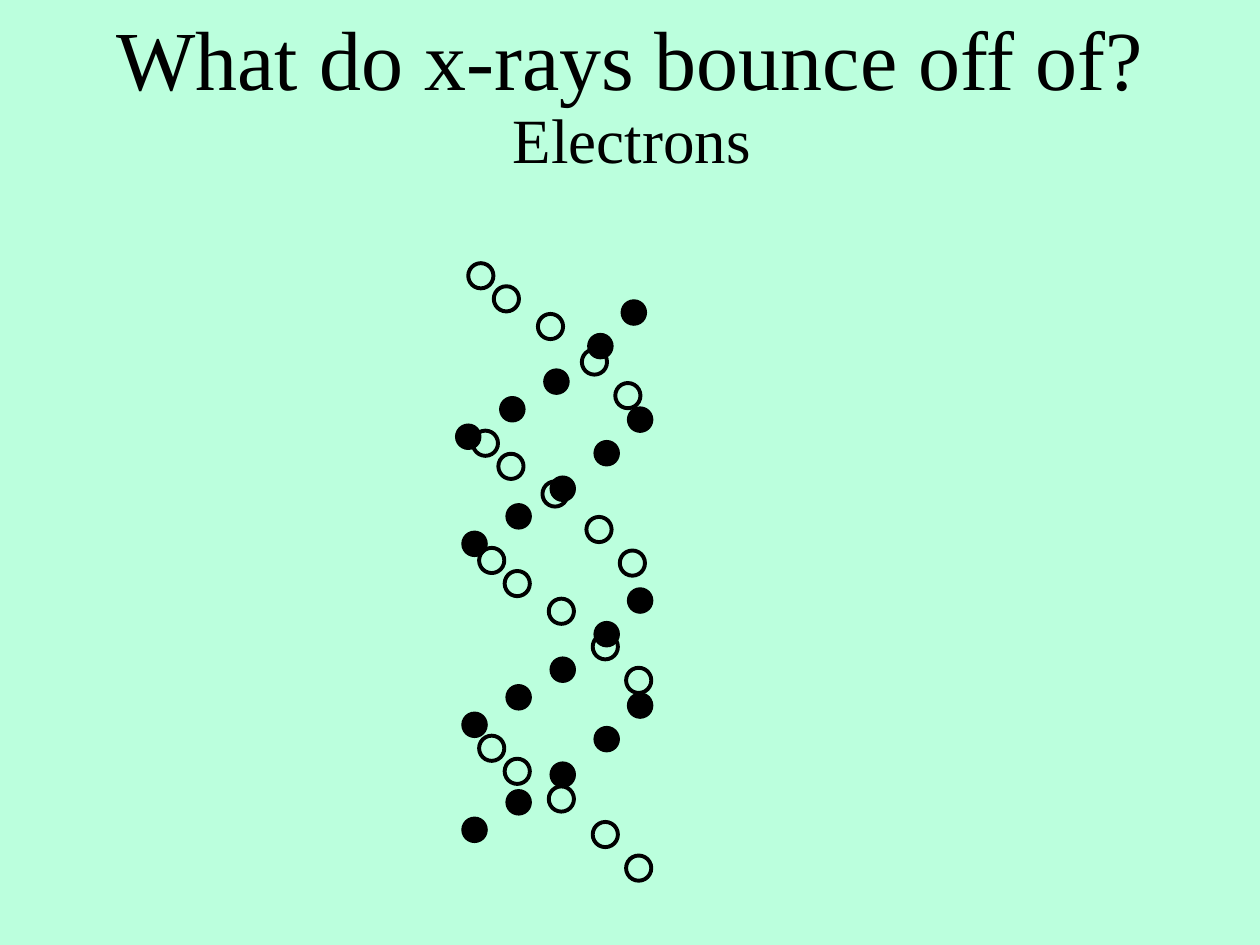
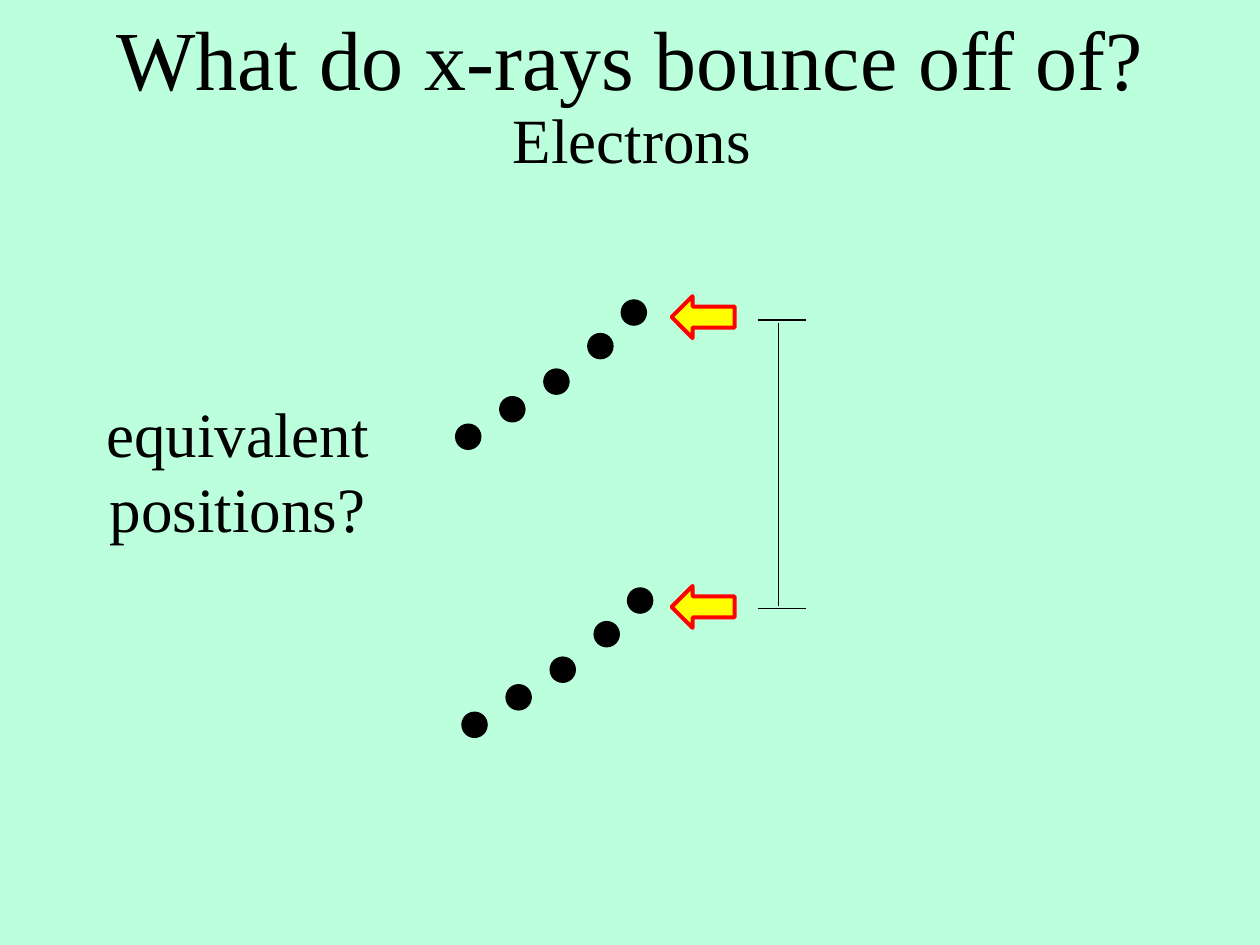
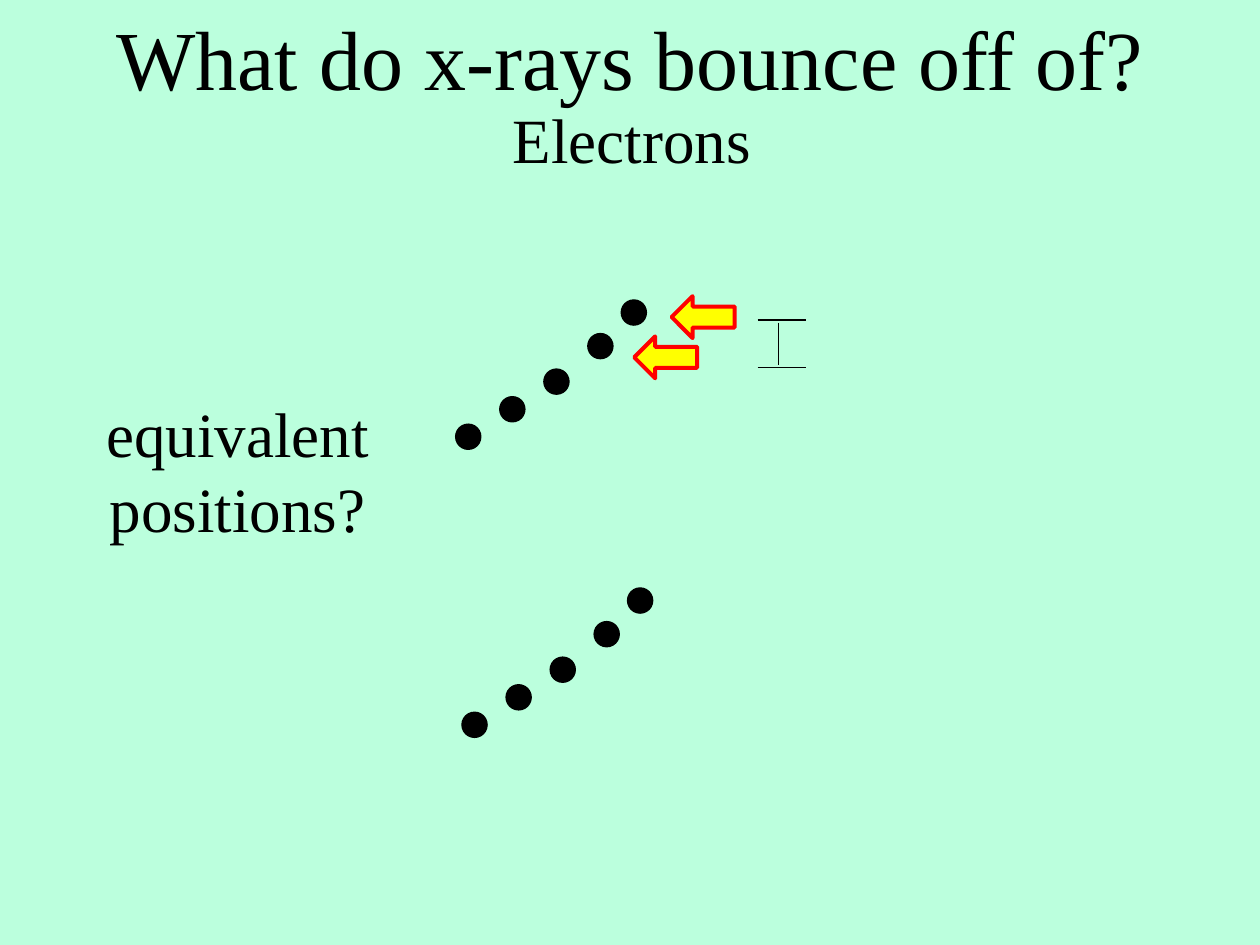
from pptx import Presentation
from pptx.dml.color import RGBColor
from pptx.enum.shapes import MSO_CONNECTOR, MSO_SHAPE
from pptx.enum.text import MSO_ANCHOR, MSO_AUTO_SIZE, PP_ALIGN
from pptx.oxml.ns import qn
from pptx.util import Pt

OVAL = MSO_SHAPE.OVAL
ARROW = MSO_SHAPE.LEFT_ARROW
LINE = MSO_CONNECTOR.STRAIGHT
TOP = MSO_ANCHOR.TOP
FIXED = MSO_AUTO_SIZE.NONE
CENTER = PP_ALIGN.CENTER

FONT = "Times New Roman"
BLACK, MINT, YELLOW, RED = "000000", "BBFFDD", "FFFF00", "FF0000"
TITLE_ONLY = 5

DOT = 14.4
# Distance of each dot from the first dot of its strand
STEPS = [(0, 0), (19.1, 19.2), (44.2, 39.5), (69.4, 55.3)]
SOLID_END, OPEN_END = (94.6, 71), (84, 68.5)

# First dot of each strand: solid ones run down, open ones run up
SOLID = [(355, 171.4), (358.6, 232.6), (358.6, 336), (358.6, 396)]
OPEN = [(357.8, 381.6), (354.2, 314.6), (351.6, 218.9), (357.8, 488.9)]


def color(code):
    return RGBColor.from_string(code)


def write(shape, text, size=36, tint=BLACK, align=CENTER):
    frame = shape.text_frame
    frame.word_wrap = True
    frame.auto_size = FIXED
    frame.vertical_anchor = TOP
    frame.text = text
    para = frame.paragraphs[0]
    para.alignment = align
    font = para.runs[0].font
    font.name, font.size = FONT, Pt(size)
    font.color.rgb = color(tint)


class Deck:
    def __init__(self):
        self.file = Presentation()
        self.file.slide_width, self.file.slide_height = Pt(720), Pt(540)
        fill = self.file.slide_master.background.fill
        fill.solid()
        fill.fore_color.rgb = color(MINT)

    def page(self):
        """Start a slide with the shared heading."""
        layout = self.file.slide_layouts[TITLE_ONLY]
        self.slide = self.file.slides.add_slide(layout)
        title = self.slide.shapes.title
        title.left, title.top = Pt(0), Pt(0)
        title.width, title.height = Pt(720), Pt(65.5)
        write(title, "What do x-rays bounce off of?", size=48)
        self.text("Electrons", 174.2, 54, 373.7, 51)

    def text(self, words, left, top, width, height):
        box = self.slide.shapes.add_textbox(
            Pt(left), Pt(top), Pt(width), Pt(height))
        write(box, words)

    def shape(self, kind, left, top, width, height, fill, edge, weight):
        item = self.slide.shapes.add_shape(
            kind, Pt(left), Pt(top), Pt(width), Pt(height))
        item.shadow.inherit = False
        if fill:
            item.fill.solid()
            item.fill.fore_color.rgb = color(fill)
        else:
            item.fill.background()
        item.line.color.rgb = color(edge)
        item.line.width = Pt(weight)

    def strand(self, left, top, solid=True):
        """Draw five dots leftward, down if solid and up if open."""
        end, turn = (SOLID_END, 1) if solid else (OPEN_END, -1)
        fill, weight = (BLACK, 0.75) if solid else (None, 2.25)
        for across, down in STEPS + [end]:
            self.shape(OVAL, left - across, top + turn * down, DOT, DOT,
                       fill, BLACK, weight)

    def arrow(self, left, top):
        self.shape(ARROW, left, top, 36, 24, YELLOW, RED, 2.25)

    def line(self, x1, y1, x2, y2):
        item = self.slide.shapes.add_connector(
            LINE, Pt(x1), Pt(y1), Pt(x2), Pt(y2))
        item.line.color.rgb = color(BLACK)
        item.line.width = Pt(0.75)
        props = item._element.spPr
        props.append(props.makeelement(qn("a:effectLst"), {}))

    def gauge(self, top, bottom):
        """Mark a height with a bar between two ticks."""
        for y in (top, bottom):
            self.line(433, y, 460.8, y)
        self.line(444.8, top + 1.5, 444.8, bottom - 1.5)

    def compare(self, left, top, bottom):
        """Ask if the first dot matches the one at the second arrow."""
        self.page()
        for start in SOLID[::2]:
            self.strand(*start)
        self.text("equivalent positions?", 23.8, 221.8, 223.9, 94.3)
        self.arrow(383.8, 169.2)
        self.arrow(left, top)
        self.gauge(182.9, bottom)


def main():
    deck = Deck()
    deck.page()
    for start in SOLID:
        deck.strand(*start)
    for start in OPEN:
        deck.strand(*start, solid=False)
    deck.compare(383.8, 334.8, 347.8)
    deck.compare(362.4, 192.2, 210)
    deck.file.save("out.pptx")


if __name__ == "__main__":
    main()
